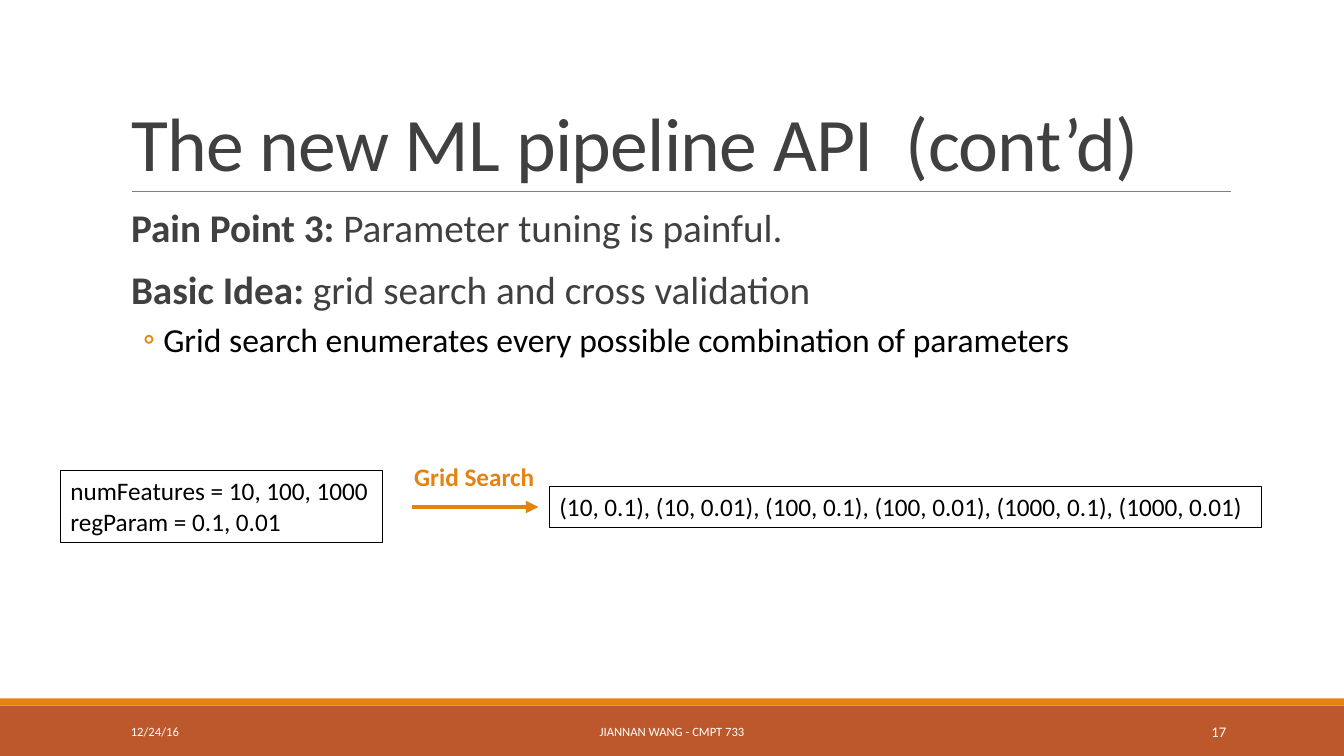
from dataclasses import dataclass

from lxml.etree import SubElement
from pptx import Presentation
from pptx.dml.color import RGBColor
from pptx.enum.shapes import MSO_CONNECTOR, MSO_SHAPE
from pptx.enum.text import MSO_ANCHOR, MSO_AUTO_SIZE, PP_ALIGN
from pptx.oxml.ns import qn
from pptx.shapes.autoshape import Shape
from pptx.slide import Slide
from pptx.text.text import TextFrame, _Paragraph as Paragraph
from pptx.util import Inches, Pt

FONT = "Calibri"
COLORS = {
    "orange": "E48312",
    "rust": "BD582C",
    "rule": "808080",
    "heading": "404040",
    "black": "000000",
    "white": "FFFFFF",
}


@dataclass(frozen=True)
class Area:
    left: float
    top: float
    width: float
    height: float

    def lengths(self) -> tuple:
        return tuple(Inches(n) for n in (self.left, self.top, self.width, self.height))


@dataclass(frozen=True)
class Label:
    area: Area
    lines: tuple[str, ...]
    size: float = 18
    color: str = "black"
    bold: bool = False
    align: PP_ALIGN = PP_ALIGN.LEFT
    anchor: MSO_ANCHOR = MSO_ANCHOR.TOP
    outlined: bool = False
    wrap: bool = False


@dataclass(frozen=True)
class Rule:
    """A horizontal line, with an arrowhead at its right end if asked for."""
    left: float
    right: float
    y: float
    color: str
    width: float
    arrow: bool = False


@dataclass(frozen=True)
class Point:
    lead: str
    statement: str


BANDS = (
    (Area(0, 7, 13.33, 0.5), "rust"),
    (Area(0, 6.93, 13.33, 0.07), "orange"),
)
RULES = (
    Rule(1.31, 12.21, 1.9, "rule", 0.5),
    Rule(4.09, 5.34, 5.03, "orange", 3, arrow=True),
)
POINTS = (
    Point("Pain Point 3: ", "Parameter tuning is painful."),
    Point("Basic Idea: ", "grid search and cross validation"),
)
DETAIL = "Grid search enumerates every possible combination of parameters"
FOOTER = dict(color="white", anchor=MSO_ANCHOR.MIDDLE, wrap=True)
LABELS = (
    Label(Area(1.2, 7.06, 2.7, 0.4), ("12/24/16",), 9, **FOOTER),
    Label(Area(4.03, 7.06, 5.27, 0.4), ("JIANNAN WANG - CMPT 733",), 9,
          align=PP_ALIGN.CENTER, **FOOTER),
    Label(Area(10.83, 7.06, 1.43, 0.4), ("17",), 10.5, align=PP_ALIGN.RIGHT, **FOOTER),
    Label(Area(0.6, 4.67, 3.19, 0.71),
          ("numFeatures = 10, 100, 1000", "regParam = 0.1, 0.01"), outlined=True),
    Label(Area(5.45, 4.83, 7.06, 0.4),
          ("(10, 0.1), (10, 0.01), (100, 0.1), (100, 0.01), (1000, 0.1), (1000, 0.01)",),
          outlined=True),
    Label(Area(4.01, 4.53, 1.4, 0.4), ("Grid Search",), color="orange", bold=True),
)


def rgb(color: str) -> RGBColor:
    return RGBColor.from_string(COLORS[color])


def set_font(paragraph: Paragraph, size: float, color: str) -> None:
    paragraph.font.name = FONT
    paragraph.font.size = Pt(size)
    paragraph.font.color.rgb = rgb(color)


def add_band(slide: Slide, area: Area, color: str) -> None:
    band = slide.shapes.add_shape(MSO_SHAPE.RECTANGLE, *area.lengths())
    band.shadow.inherit = False
    band.fill.solid()
    band.fill.fore_color.rgb = rgb(color)
    band.line.fill.background()


def add_rule(slide: Slide, rule: Rule) -> None:
    y = Inches(rule.y)
    line = slide.shapes.add_connector(
        MSO_CONNECTOR.STRAIGHT, Inches(rule.left), y, Inches(rule.right), y)
    line.line.color.rgb = rgb(rule.color)
    line.line.width = Pt(rule.width)
    properties = line._element.spPr
    if rule.arrow:
        SubElement(properties.find(qn("a:ln")), qn("a:tailEnd"), type="triangle")
    SubElement(properties, qn("a:effectLst"))


def next_paragraph(frame: TextFrame, index: int) -> Paragraph:
    return frame.add_paragraph() if index else frame.paragraphs[0]


def outline(shape: Shape) -> None:
    shape.line.color.rgb = rgb("black")
    shape.line.width = Pt(0.75)


def add_label(slide: Slide, label: Label) -> None:
    shape = slide.shapes.add_textbox(*label.area.lengths())
    if label.outlined:
        outline(shape)
    frame = shape.text_frame
    frame.word_wrap = label.wrap
    frame.vertical_anchor = label.anchor
    if not label.wrap:
        frame.auto_size = MSO_AUTO_SIZE.SHAPE_TO_FIT_TEXT
    for index, text in enumerate(label.lines):
        paragraph = next_paragraph(frame, index)
        paragraph.text = text
        paragraph.alignment = label.align
        set_font(paragraph, label.size, label.color)
        paragraph.font.bold = label.bold


def set_title(slide: Slide, text: str) -> None:
    title = slide.shapes.title
    title.left, title.top, title.width, title.height = Area(1.2, 0.31, 11, 1.59).lengths()
    frame = title.text_frame
    frame.word_wrap = True
    frame.auto_size = MSO_AUTO_SIZE.NONE
    frame.vertical_anchor = MSO_ANCHOR.BOTTOM
    paragraph = frame.paragraphs[0]
    paragraph.alignment = PP_ALIGN.LEFT
    paragraph.line_spacing = 0.85
    run = paragraph.add_run()
    run.text = text
    run._r.get_or_add_rPr().set("spc", "-50")
    set_font(paragraph, 54, "heading")


def set_indent(paragraph: Paragraph, margin: float, first_line: float) -> None:
    properties = paragraph._p.get_or_add_pPr()
    properties.set("marL", str(Inches(margin)))
    properties.set("indent", str(Inches(first_line)))


def add_bullet(paragraph: Paragraph, symbol: str, color: str) -> None:
    properties = paragraph._p.get_or_add_pPr()
    bullet_color = SubElement(properties, qn("a:buClr"))
    SubElement(bullet_color, qn("a:srgbClr"), val=COLORS[color])
    SubElement(properties, qn("a:buFont"), typeface=FONT)
    SubElement(properties, qn("a:buChar"), char=symbol)


def add_body(slide: Slide) -> None:
    frame = slide.shapes.add_textbox(*Area(1.2, 2.02, 11, 4.4).lengths()).text_frame
    frame.word_wrap = True
    frame.margin_left = frame.margin_right = 0
    for index, point in enumerate(POINTS):
        paragraph = next_paragraph(frame, index)
        set_indent(paragraph, 0.1, 0)
        paragraph.line_spacing = 0.9
        paragraph.space_before = Pt(12 if index else 0)
        paragraph.space_after = Pt(2)
        set_font(paragraph, 28, "heading")
        lead = paragraph.add_run()
        lead.text = point.lead
        lead.font.bold = True
        paragraph.add_run().text = point.statement
    detail = frame.add_paragraph()
    detail.text = DETAIL
    detail.level = 1
    set_indent(detail, 0.42, -0.2)
    detail.space_before = Pt(2)
    detail.space_after = Pt(4)
    add_bullet(detail, "◦", "orange")
    set_font(detail, 24, "black")


def main() -> None:
    presentation = Presentation()
    presentation.slide_width = Inches(13.33)
    presentation.slide_height = Inches(7.5)
    slide = presentation.slides.add_slide(presentation.slide_layouts.get_by_name("Title Only"))
    for area, color in BANDS:
        add_band(slide, area, color)
    for rule in RULES:
        add_rule(slide, rule)
    set_title(slide, "The new ML pipeline API  (cont’d)")
    add_body(slide)
    for label in LABELS:
        add_label(slide, label)
    presentation.save("out.pptx")


if __name__ == "__main__":
    main()
